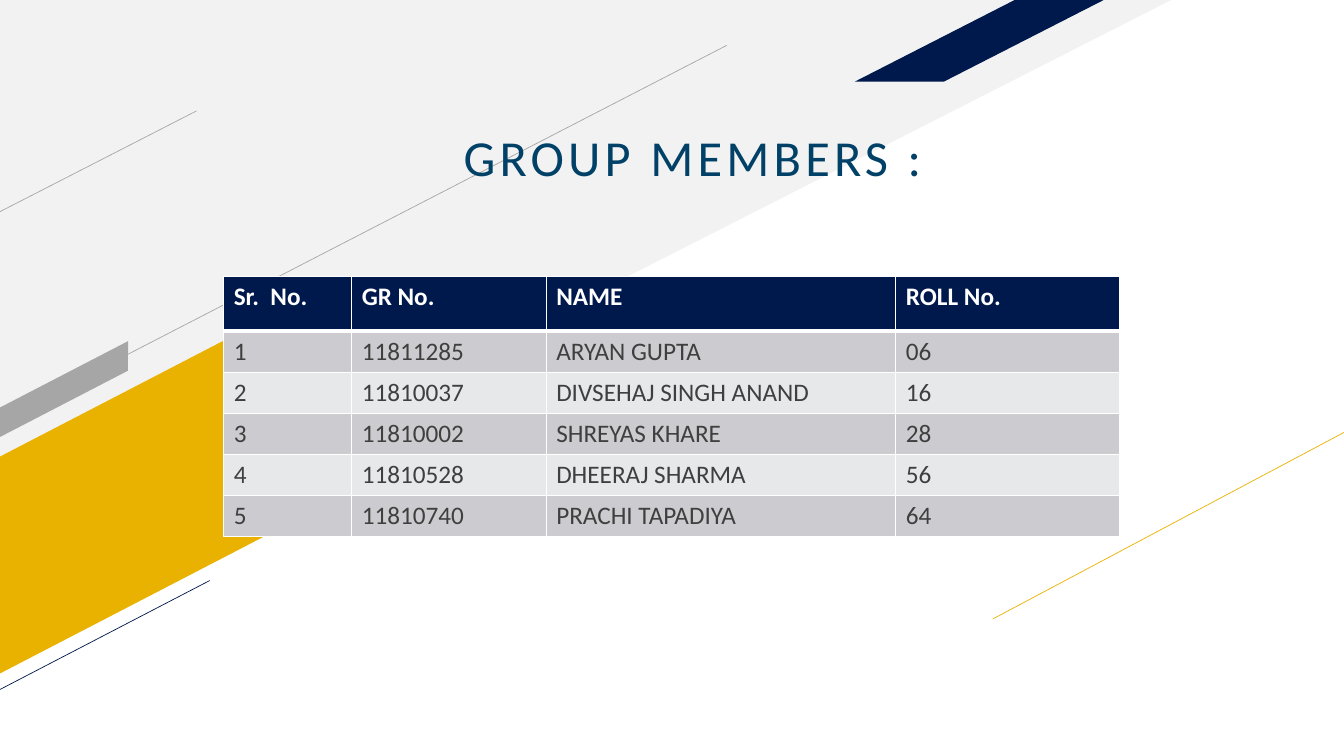
from dataclasses import dataclass

from lxml import etree
from pptx import Presentation
from pptx.dml.color import RGBColor
from pptx.enum.shapes import MSO_CONNECTOR, MSO_SHAPE
from pptx.enum.text import MSO_ANCHOR, MSO_AUTO_SIZE, PP_ALIGN
from pptx.oxml.ns import qn
from pptx.util import Pt

TRIANGLE = MSO_SHAPE.RIGHT_TRIANGLE
PARALLELOGRAM = MSO_SHAPE.PARALLELOGRAM
STRAIGHT = MSO_CONNECTOR.STRAIGHT
TOP = MSO_ANCHOR.TOP
LEFT = PP_ALIGN.LEFT
NO_AUTOFIT = MSO_AUTO_SIZE.NONE
TITLE_ONLY = 5


@dataclass(frozen=True)
class Theme:
    font: str = "Calibri"
    heading_size: float = 36
    table_size: float = 18
    white: str = "FFFFFF"
    pale: str = "F2F2F2"
    gold: str = "EAB200"
    grey: str = "A6A6A6"
    navy: str = "00194C"
    heading: str = "014067"
    body: str = "3F3F3F"
    bands: tuple = ("CCCCD0", "E7E8E9")


@dataclass(frozen=True)
class Box:
    left: float
    top: float
    width: float
    height: float


THEME = Theme()
PAGE = Box(0, 0, 960, 540)
HEADING = Box(324, 91.4, 545, 411.8)
MEMBERS = Box(159.8, 197.3, 640, 186)
SLANT = 332.6
HEADER_HEIGHT = 39.4
COLUMN_SHARES = (1.27, 1.93, 3.47, 2.22)

BLOCKS = (
    (PARALLELOGRAM, Box(-50.4, 282.2, 303.8, 137.5), THEME.gold, SLANT, 0.532),
    (PARALLELOGRAM, Box(610.6, 0, 177.8, 58.3), THEME.navy, 0, 1.958),
    (PARALLELOGRAM, Box(-10.8, 268.6, 113, 18.7), THEME.grey, SLANT, 0.532),
)
RULES = (
    ((0, 151.2), (140.4, 79.2), THEME.grey),
    ((709.2, 442.1), (960, 308.9), THEME.gold),
    ((0, 300.2), (519.1, 32.4), THEME.grey),
    ((-1.4, 493.2), (149.8, 414.7), THEME.navy),
)
MEMBER_ROWS = (
    ("Sr.  No.", "GR No.", "NAME", "ROLL No."),
    ("1", "11811285", "ARYAN GUPTA", "06"),
    ("2", "11810037", "DIVSEHAJ SINGH ANAND", "16"),
    ("3", "11810002", "SHREYAS KHARE", "28"),
    ("4", "11810528", "DHEERAJ SHARMA", "56"),
    ("5", "11810740", "PRACHI TAPADIYA", "64"),
)


def rgb(color):
    return RGBColor.from_string(color)


def set_font(paragraph, size, color, bold=False):
    paragraph.font.name = THEME.font
    paragraph.font.size = Pt(size)
    paragraph.font.color.rgb = rgb(color)
    paragraph.font.bold = bold


def add_block(slide, page, kind, box, color, rotation=0, slope=None):
    block = slide.shapes.add_shape(
        kind, Pt(page.left + box.left), Pt(page.top + box.top),
        Pt(box.width), Pt(box.height))
    block.shadow.inherit = False
    block.fill.solid()
    block.fill.fore_color.rgb = rgb(color)
    block.line.fill.background()
    block.rotation = rotation
    if slope is not None:
        block.adjustments[0] = slope
    return block


def add_rule(slide, page, start, end, color):
    rule = slide.shapes.add_connector(
        STRAIGHT, Pt(page.left + start[0]), Pt(page.top + start[1]),
        Pt(page.left + end[0]), Pt(page.top + end[1]))
    rule.line.color.rgb = rgb(color)
    rule.line.width = Pt(0.5)
    etree.SubElement(rule.element.spPr, qn("a:effectLst"))


def add_backdrop(slide, page):
    corner = add_block(slide, page, TRIANGLE, Box(0, 0, 836.6, 425.5), THEME.pale)
    corner.element.spPr.find(qn("a:xfrm")).set("flipV", "1")
    gold_band, *upper_bands = BLOCKS
    add_block(slide, page, *gold_band)
    for rule in RULES:
        add_rule(slide, page, *rule)
    for band in upper_bands:
        add_block(slide, page, *band)


def add_heading(slide, box):
    heading = slide.shapes.title
    heading.left, heading.top = Pt(box.left), Pt(box.top)
    heading.width, heading.height = Pt(box.width), Pt(box.height)
    frame = heading.text_frame
    frame.text = "GROUP MEMBERS :"
    frame.word_wrap = True
    frame.auto_size = NO_AUTOFIT
    frame.vertical_anchor = TOP
    paragraph = frame.paragraphs[0]
    paragraph.alignment = LEFT
    paragraph.line_spacing = 0.9
    paragraph.space_before = Pt(10)
    set_font(paragraph, THEME.heading_size, THEME.heading)
    paragraph.runs[0].font.language_id = None
    paragraph.runs[0].font.bold = False
    paragraph.runs[0].text = "GROUP MEMBERS :"
    paragraph.runs[0].font._element.set("spc", "300")
    heading.element.getparent().append(heading.element)


def set_borders(cell, top, bottom):
    properties = cell._tc.get_or_add_tcPr()
    for side, width in (("L", 1), ("R", 1), ("T", top), ("B", bottom)):
        border = etree.SubElement(properties, qn(f"a:ln{side}"), w=str(Pt(width)))
        fill = etree.SubElement(border, qn("a:solidFill"))
        etree.SubElement(fill, qn("a:srgbClr"), val=THEME.white)


def add_members(slide, box):
    table = slide.shapes.add_table(
        len(MEMBER_ROWS), len(COLUMN_SHARES), Pt(box.left), Pt(box.top),
        Pt(box.width), Pt(box.height)).table
    for column, share in zip(table.columns, COLUMN_SHARES):
        column.width = Pt(box.width * share / sum(COLUMN_SHARES))
    member_height = (box.height - HEADER_HEIGHT) / (len(MEMBER_ROWS) - 1)
    for row_index, member in enumerate(MEMBER_ROWS):
        is_header = row_index == 0
        table.rows[row_index].height = Pt(HEADER_HEIGHT if is_header else member_height)
        fill = THEME.navy if is_header else THEME.bands[(row_index - 1) % 2]
        color = THEME.white if is_header else THEME.body
        for column_index, entry in enumerate(member):
            cell = table.cell(row_index, column_index)
            cell.text = entry
            set_font(cell.text_frame.paragraphs[0], THEME.table_size, color, is_header)
            set_borders(cell, 3 if row_index == 1 else 1, 3 if is_header else 1)
            cell.fill.solid()
            cell.fill.fore_color.rgb = rgb(fill)


def main():
    deck = Presentation()
    deck.slide_width, deck.slide_height = Pt(PAGE.width), Pt(PAGE.height)
    slide = deck.slides.add_slide(deck.slide_layouts[TITLE_ONLY])
    add_backdrop(slide, PAGE)
    add_heading(slide, HEADING)
    add_members(slide, MEMBERS)
    deck.save("out.pptx")


if __name__ == "__main__":
    main()
